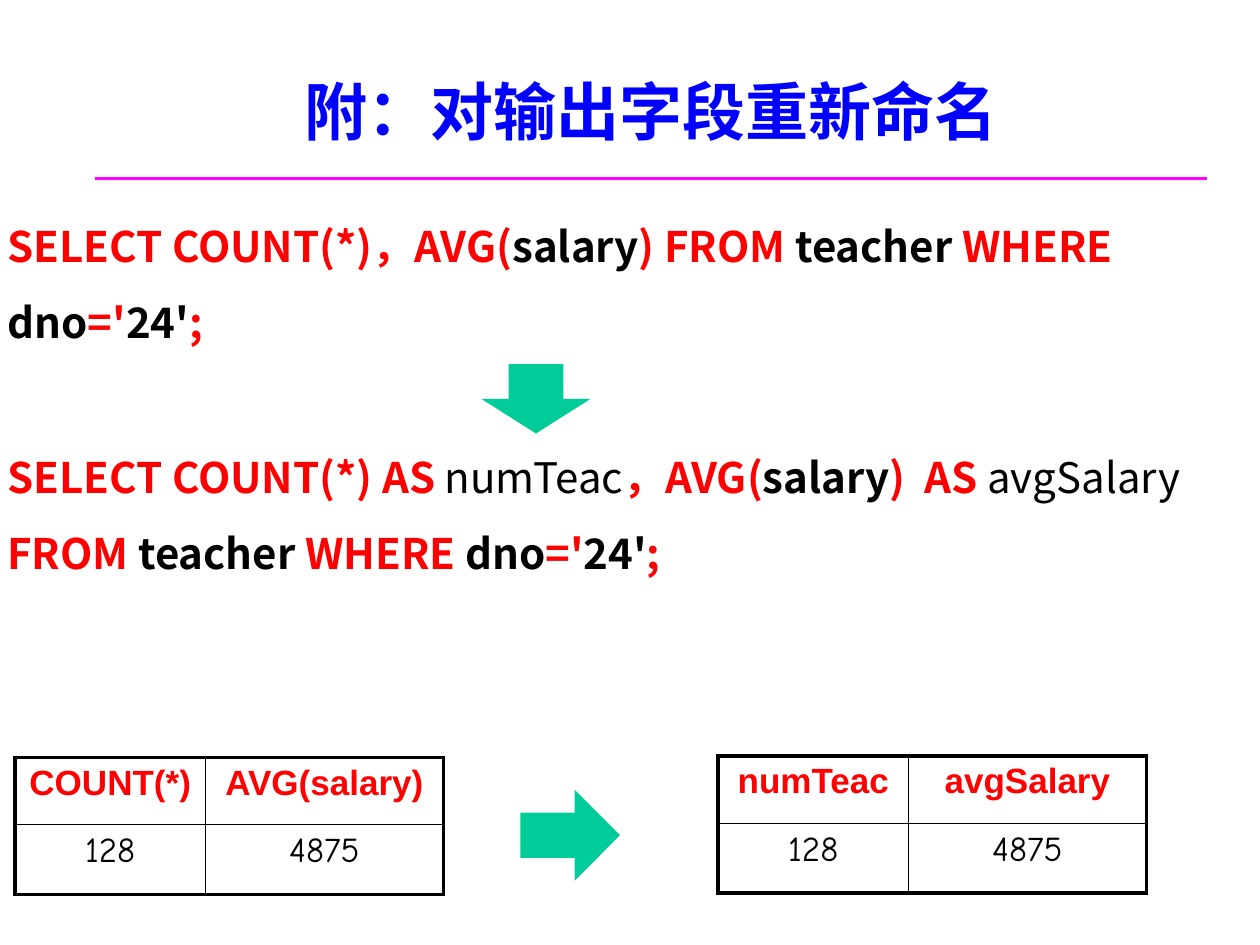
from lxml import etree
from pptx import Presentation
from pptx.dml.color import RGBColor
from pptx.enum.shapes import MSO_CONNECTOR, MSO_SHAPE
from pptx.enum.text import MSO_ANCHOR, PP_ALIGN
from pptx.oxml.ns import qn
from pptx.util import Pt

STRAIGHT = MSO_CONNECTOR.STRAIGHT
DOWN_ARROW, RIGHT_ARROW = MSO_SHAPE.DOWN_ARROW, MSO_SHAPE.RIGHT_ARROW
CENTER, MIDDLE = PP_ALIGN.CENTER, MSO_ANCHOR.MIDDLE

COLORS = {"title": "0000FF", "rule": "FF00FF", "keyword": "FF0000",
          "name": "000000", "arrow": "00CC99", "border": "000000"}
SANS, HEADER_FONT, VALUE_FONT = "Noto Sans CJK SC", "Arial", "Comic Neue"

TITLE = "附：对输出字段重新命名"
CONDITION = [("teacher ", "name"), ("WHERE", "keyword"), (" dno", "name"),
             ("='", "keyword"), ("24'", "name"), (";", "keyword")]
QUERIES = [
    [("SELECT COUNT(*)，AVG(", "keyword"), ("salary", "name"),
     (") FROM ", "keyword")] + CONDITION,
    [("SELECT COUNT(*) AS ", "keyword"), ("numTeac", "alias"),
     ("，AVG(", "keyword"), ("salary", "name"), (")  AS ", "keyword"),
     ("avgSalary", "alias"), (" FROM ", "keyword")] + CONDITION,
]
QUERY_SPACES = [1.2, 45.6]
TABLES = [
    (8.64, 432.7, [["COUNT(*)", "AVG(salary)"], ["128", "4875"]]),
    (410.4, 432, [["numTeac", "avgSalary"], ["128", "4875"]]),
]
COLUMN_WIDTHS, ROW_HEIGHTS = [108.7, 136.1], [38.5, 39.9]
OUTER_LINE, INNER_LINE = 2.25, 1
ARROWS = [(DOWN_ARROW, 275, 208.1, 62.6, 39.6),
          (RIGHT_ARROW, 297.4, 451.4, 56.9, 51.8)]


def format_run(run, size, font, color, bold=True):
    run.font.size = Pt(size)
    run.font.bold = bold
    run.font.color.rgb = RGBColor.from_string(COLORS[color])
    run.font.name = font
    etree.SubElement(run.font._element, qn("a:ea"), typeface=font)


def add_text_frame(slide, *box):
    text_frame = slide.shapes.add_textbox(*map(Pt, box)).text_frame
    text_frame.word_wrap = True
    return text_frame


def add_border(cell, side, width):
    line = etree.SubElement(cell._tc.get_or_add_tcPr(), qn(f"a:ln{side}"),
                            w=str(Pt(width)))
    fill = etree.SubElement(line, qn("a:solidFill"))
    etree.SubElement(fill, qn("a:srgbClr"), val=COLORS["border"])


def add_result_table(slide, left, top, rows):
    row_count, column_count = len(rows), len(rows[0])
    table = slide.shapes.add_table(
        row_count, column_count, Pt(left), Pt(top),
        Pt(sum(COLUMN_WIDTHS)), Pt(sum(ROW_HEIGHTS))).table
    table.first_row = table.horz_banding = False
    for column, width in zip(table.columns, COLUMN_WIDTHS):
        column.width = Pt(width)
    for r, values in enumerate(rows):
        table.rows[r].height = Pt(ROW_HEIGHTS[r])
        for c, value in enumerate(values):
            cell = table.cell(r, c)
            cell.text_frame.text = value
            paragraph = cell.text_frame.paragraphs[0]
            paragraph.alignment = CENTER
            paragraph.space_before = Pt(1)
            if r == 0:
                format_run(paragraph.runs[0], 20, HEADER_FONT, "keyword")
            else:
                format_run(paragraph.runs[0], 20, VALUE_FONT, "name", False)
            edges = {"L": c == 0, "R": c == column_count - 1,
                     "T": r == 0, "B": r == row_count - 1}
            for side, is_outer in edges.items():
                add_border(cell, side, OUTER_LINE if is_outer else INNER_LINE)
            cell.fill.background()


def main():
    presentation = Presentation()
    presentation.slide_width, presentation.slide_height = Pt(720), Pt(540)
    slide = presentation.slides.add_slide(presentation.slide_layouts[6])

    rule = slide.shapes.add_connector(STRAIGHT, Pt(54), Pt(102), Pt(690), Pt(102))
    rule.line.color.rgb = RGBColor.from_string(COLORS["rule"])
    rule.line.width = Pt(1.5)
    etree.SubElement(rule._element.spPr, qn("a:effectLst"))

    title_frame = add_text_frame(slide, 66, 18, 612, 90)
    title_frame.vertical_anchor = MIDDLE
    title_frame.text = TITLE
    title_frame.paragraphs[0].alignment = CENTER
    format_run(title_frame.paragraphs[0].runs[0], 36, SANS, "title")

    query_frame = add_text_frame(slide, -2.9, 108, 722, 240)
    for index, (query, space) in enumerate(zip(QUERIES, QUERY_SPACES)):
        paragraph = query_frame.add_paragraph() if index else query_frame.paragraphs[0]
        paragraph.line_spacing = 1.5
        paragraph.space_before = Pt(space)
        for text, role in query:
            run = paragraph.add_run()
            run.text = text
            is_alias = role == "alias"
            format_run(run, 24, SANS, "name" if is_alias else role, not is_alias)

    for left, top, rows in TABLES:
        add_result_table(slide, left, top, rows)

    for kind, *box in ARROWS:
        arrow = slide.shapes.add_shape(kind, *map(Pt, box))
        arrow.shadow.inherit = False
        arrow.fill.solid()
        arrow.fill.fore_color.rgb = RGBColor.from_string(COLORS["arrow"])
        arrow.line.fill.background()

    presentation.save("out.pptx")


if __name__ == "__main__":
    main()
